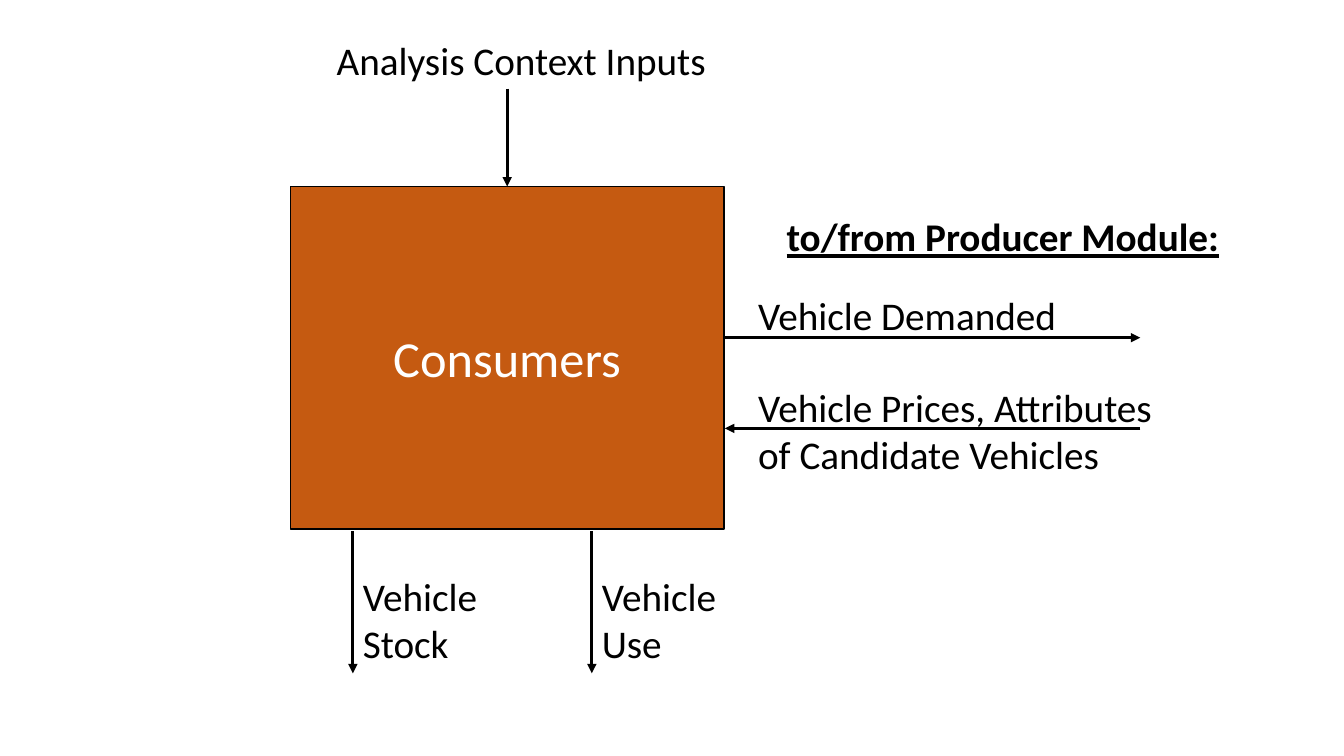
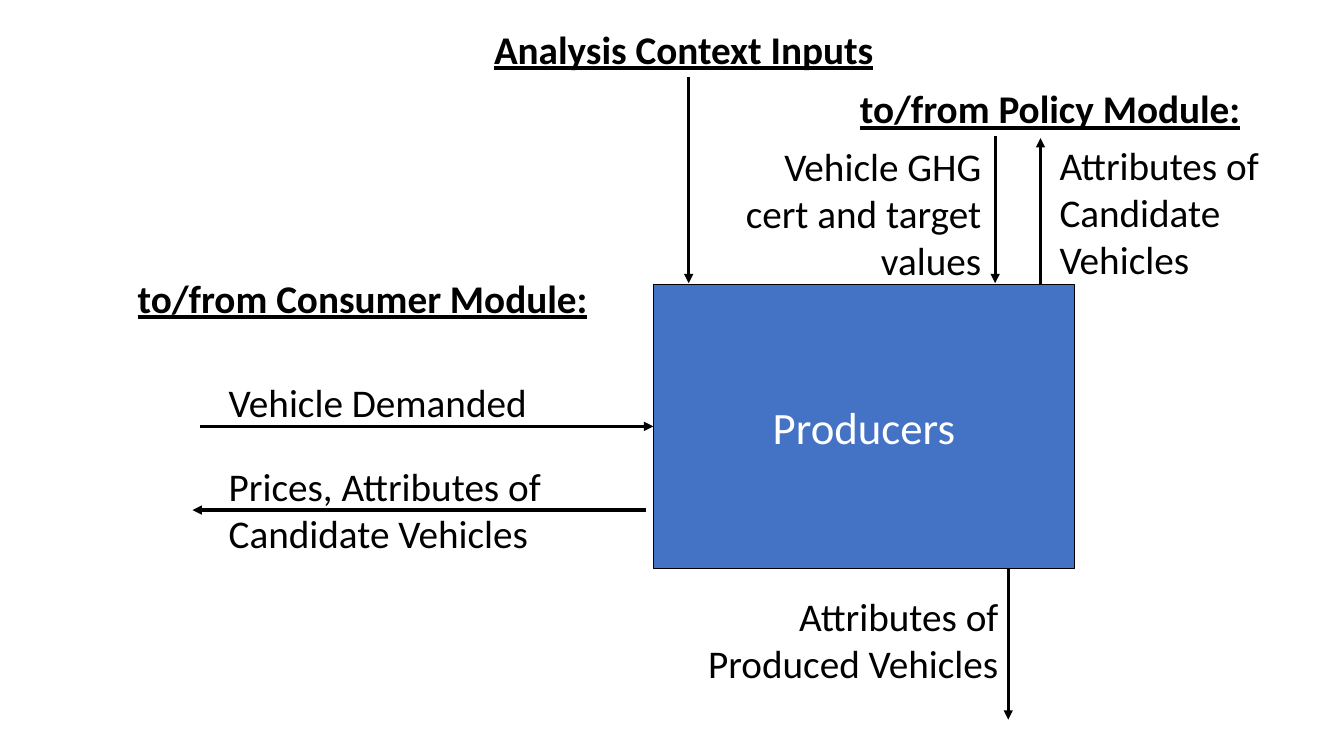
from pptx import Presentation
from pptx.dml.color import RGBColor
from pptx.enum import shapes, text
from pptx.oxml.ns import qn
from pptx.util import Inches, Pt
from lxml import etree

BLACK, WHITE = "000000", "FFFFFF"
CONSUMER_ORANGE, PRODUCER_BLUE = "C55A11", "4472C4"
LABEL = {"name": "Calibri", "size": Pt(28)}
HEADING = {**LABEL, "bold": True, "underline": True}
LEFT, CENTER, RIGHT = (text.PP_ALIGN.LEFT, text.PP_ALIGN.CENTER,
                       text.PP_ALIGN.RIGHT)
TOP_SIDE, LEFT_SIDE = 0, 1


def color(hex_value):
    return RGBColor.from_string(hex_value)


def write(frame, wording, style, align, hex_color=BLACK):
    paragraph = frame.paragraphs[0]
    paragraph.alignment = align
    run = paragraph.add_run()
    run.text = wording
    for attribute, value in style.items():
        setattr(run.font, attribute, value)
    run.font.color.rgb = color(hex_color)


def add_module(slide, name, bounds, fill, size):
    """Add the filled box that stands for a module."""
    module = slide.shapes.add_shape(shapes.MSO_SHAPE.RECTANGLE,
                                    *map(Inches, bounds))
    module.shadow.inherit = False
    module.fill.solid()
    module.fill.fore_color.rgb = color(fill)
    module.line.color.rgb = color(BLACK)
    module.line.width = Pt(1)
    module.text_frame.vertical_anchor = text.MSO_ANCHOR.MIDDLE
    write(module.text_frame, name, {**LABEL, "size": Pt(size)}, CENTER, WHITE)
    return module


def add_label(slide, wording, bounds, align=LEFT, style=LABEL):
    frame = slide.shapes.add_textbox(*map(Inches, bounds)).text_frame
    frame.word_wrap = True
    frame.auto_size = text.MSO_AUTO_SIZE.SHAPE_TO_FIT_TEXT
    write(frame, wording, style, align)


def add_flow(slide, start, end, module=None, side=None):
    """Add an arrow from start to end, joined to a module's side if given."""
    flow = slide.shapes.add_connector(shapes.MSO_CONNECTOR.STRAIGHT,
                                      *map(Inches, (*start, *end)))
    if module is not None:
        flow.end_connect(module, side)
    flow.line.color.rgb = color(BLACK)
    flow.line.width = Pt(2.25)
    properties = flow._element.spPr
    etree.SubElement(properties.find(qn("a:ln")), qn("a:tailEnd"),
                     type="triangle")
    etree.SubElement(properties, qn("a:effectLst"))


def build_consumers(slide):
    consumers = add_module(slide, "Consumers", (2.88, 1.85, 4.3, 3.4),
                           CONSUMER_ORANGE, 36)
    add_label(slide, "Analysis Context Inputs", (2.67, 0.31, 5, 0.57), CENTER)
    add_flow(slide, (5.03, 0.88), (5.03, 1.85), consumers, TOP_SIDE)

    add_label(slide, "to/from Producer Module:", (7.66, 2.06, 4.57, 0.57),
              CENTER, HEADING)
    add_label(slide, "Vehicle Demanded", (7.42, 2.84, 3.29, 0.57))
    add_flow(slide, (7.19, 3.35), (11.31, 3.35))
    add_label(slide, "Vehicle Prices, Attributes of Candidate Vehicles",
              (7.42, 3.75, 4.22, 1.04))
    add_flow(slide, (11.31, 4.25), (7.19, 4.25))

    for output, x in (("Vehicle Stock", 3.5), ("Vehicle Use", 5.87)):
        add_label(slide, output, (x, 5.63, 1.38, 1.04))
        add_flow(slide, (x, 5.27), (x, 6.68))


def build_producers(slide):
    producers = add_module(slide, "Producers", (6.48, 2.82, 4.18, 2.82),
                           PRODUCER_BLUE, 32)
    add_label(slide, "Analysis Context Inputs", (4.57, 0.2, 4.19, 0.57),
              RIGHT, HEADING)
    add_flow(slide, (6.83, 0.76), (6.83, 2.81))

    add_label(slide, "to/from Policy Module:", (8.43, 0.79, 4.27, 0.57),
              LEFT, HEADING)
    add_label(slide, "Vehicle GHG cert and target values",
              (7.29, 1.36, 2.54, 1.51), RIGHT)
    add_flow(slide, (9.87, 1.35), (9.87, 2.81))
    add_label(slide, "Attributes of Candidate Vehicles",
              (10.41, 1.35, 2.35, 1.51))
    add_flow(slide, (10.32, 2.82), (10.32, 1.37))

    add_label(slide, "to/from Consumer Module:", (1.22, 2.67, 4.75, 0.57),
              CENTER, HEADING)
    add_label(slide, "Vehicle Demanded", (2.17, 3.7, 3.29, 0.57))
    add_flow(slide, (1.98, 4.23), (6.48, 4.23), producers, LEFT_SIDE)
    add_label(slide, "Prices, Attributes of Candidate Vehicles",
              (2.17, 4.54, 4.22, 1.04))
    add_flow(slide, (6.41, 5.06), (1.91, 5.06))

    add_label(slide, "Attributes of Produced Vehicles",
              (6.39, 5.83, 3.61, 1.04), RIGHT)
    add_flow(slide, (10, 5.64), (10, 7.14))


def main():
    deck = Presentation()
    deck.slide_width, deck.slide_height = Inches(13.33), Inches(7.5)
    blank = deck.slide_layouts.get_by_name("Blank")
    for build in (build_consumers, build_producers):
        build(deck.slides.add_slide(blank))
    deck.save("out.pptx")


if __name__ == "__main__":
    main()
